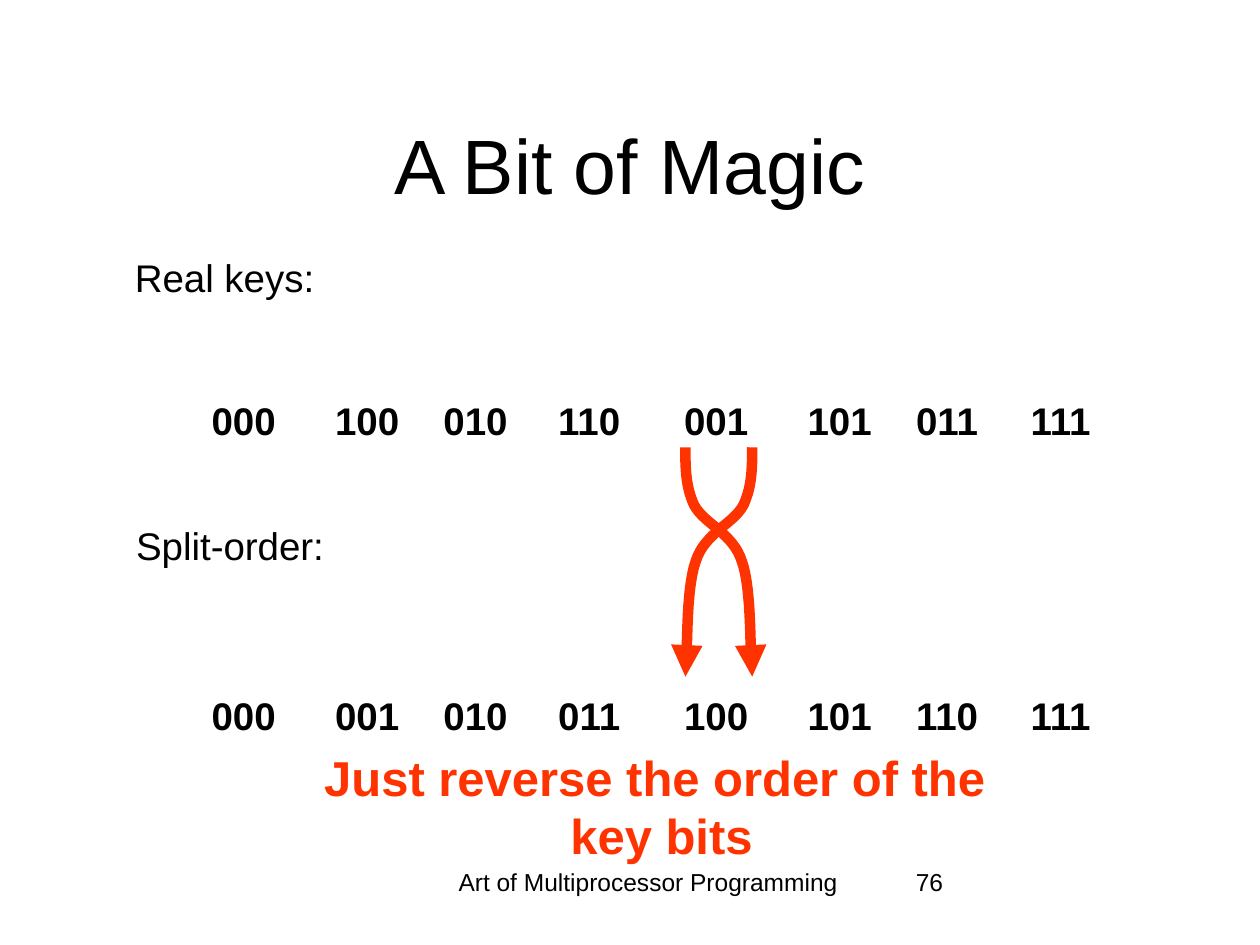
from lxml.etree import SubElement
from pptx import Presentation
from pptx.dml.color import RGBColor
from pptx.enum.text import MSO_ANCHOR, MSO_AUTO_SIZE, PP_ALIGN
from pptx.oxml.ns import qn
from pptx.util import Inches, Pt

COLORS = {"ink": "000000", "mark": "FF3300"}
LEFTS = [1.59, 2.57, 3.43, 4.34, 5.34, 6.32, 7.18, 8.09]
WIDTHS = [0.7, 0.7, 0.7, 0.68, 0.7, 0.7, 0.68, 0.66]
REAL = ["000", "100", "010", "110", "001", "101", "011", "111"]
CURVE = [(0.53, 0), (0.53, 0.16), (0.53, 0.31), (0.46, 0.46),
         (0.38, 0.61), (0.15, 0.68), (0.08, 0.91),
         (0, 1.14), (0.02, 1.65), (0, 1.82)]


def add_text(slide, box, text, size, color="ink", bold=False,
             align=PP_ALIGN.LEFT, **frame):
    """Place one line or paragraph of text in a box."""
    shape = slide.shapes.add_textbox(*map(Inches, box))
    style = {"word_wrap": True, "margin_left": Inches(0.09),
             "margin_right": Inches(0.09), "margin_top": Inches(0.05),
             "margin_bottom": Inches(0.05), **frame}
    for name, value in style.items():
        setattr(shape.text_frame, name, value)
    para = shape.text_frame.paragraphs[0]
    para.alignment = align
    run = para.add_run()
    run.text = text
    look = {"name": "Arial", "size": Pt(size), "bold": bold}
    for name, value in look.items():
        setattr(run.font, name, value)
    run.font.color.rgb = RGBColor.from_string(COLORS[color])
    return para


def add_label(slide, box, text, bold=False):
    """Place a label on one line."""
    add_text(slide, box, text, 22, bold=bold, word_wrap=False,
             margin_right=Inches(0.05),
             auto_size=MSO_AUTO_SIZE.SHAPE_TO_FIT_TEXT)


def add_keys(slide, top, keys):
    """Place a row of bit keys."""
    for left, width, key in zip(LEFTS, WIDTHS, keys):
        add_label(slide, (left, top, width, 0.46), key, True)


def trace(points, steps=16):
    """Return points along a chain of cubic curves."""
    path = [points[0]]
    for start in range(0, len(points) - 1, 3):
        part = points[start:start + 4]
        for step in range(1, steps + 1):
            t = step / steps
            mix = [(1 - t) ** 3, 3 * t * (1 - t) ** 2,
                   3 * t * t * (1 - t), t ** 3]
            path.append(tuple(sum(m * p[axis] for m, p in zip(mix, part))
                              for axis in (0, 1)))
    return path


def add_arrow(slide, left, top, points):
    """Draw a curved arrow from a corner."""
    path = [(Inches(left + x), Inches(top + y)) for x, y in trace(points)]
    build = slide.shapes.build_freeform(*path[0])
    build.add_line_segments(path[1:], close=False)
    shape = build.convert_to_shape()
    shape.shadow.inherit = False
    shape.fill.background()
    shape.line.width = Pt(6)
    shape.line.color.rgb = RGBColor.from_string(COLORS["mark"])
    SubElement(shape.line._get_or_add_ln(), qn("a:tailEnd"), type="triangle")


def add_cross(slide, left, top, width):
    """Draw two mirrored arrows that swap the outer bits."""
    add_arrow(slide, left, top, CURVE)
    add_arrow(slide, left, top, [(width - x, y) for x, y in CURVE])


def add_foot(slide, top):
    """Place the book title and page number."""
    add_text(slide, (3.42, top, 3.45, 0.5),
             "Art of Multiprocessor Programming", 14, align=PP_ALIGN.CENTER)
    add_text(slide, (7.17, top, 2.08, 0.5), "76", 14,
             margin_left=Inches(0.1))


def main():
    """Build the slide and save it."""
    deck = Presentation()
    deck.slide_width, deck.slide_height = Inches(10), Inches(7.5)
    slide = deck.slides.add_slide(deck.slide_layouts[6])
    add_foot(slide, 6.83)
    add_text(slide, (0.75, 0.67, 8.5, 1.25), "A Bit of Magic", 44,
             align=PP_ALIGN.CENTER, vertical_anchor=MSO_ANCHOR.MIDDLE)
    add_label(slide, (0.98, 1.97, 1.62, 0.46), "Real keys:")
    add_label(slide, (0.99, 4.09, 1.69, 0.46), "Split-order:")
    add_keys(slide, 3.1, REAL)
    add_keys(slide, 5.44, [key[::-1] for key in REAL])
    add_cross(slide, 5.44, 3.55, 0.53)
    note = add_text(slide, (2.45, 5.88, 5.49, 1.02),
                    "Just reverse the order of the key bits ", 28, "mark",
                    True, PP_ALIGN.CENTER,
                    auto_size=MSO_AUTO_SIZE.SHAPE_TO_FIT_TEXT)
    note._p.get_or_add_pPr().set("rtl", "1")
    deck.save("out.pptx")


if __name__ == "__main__":
    main()
